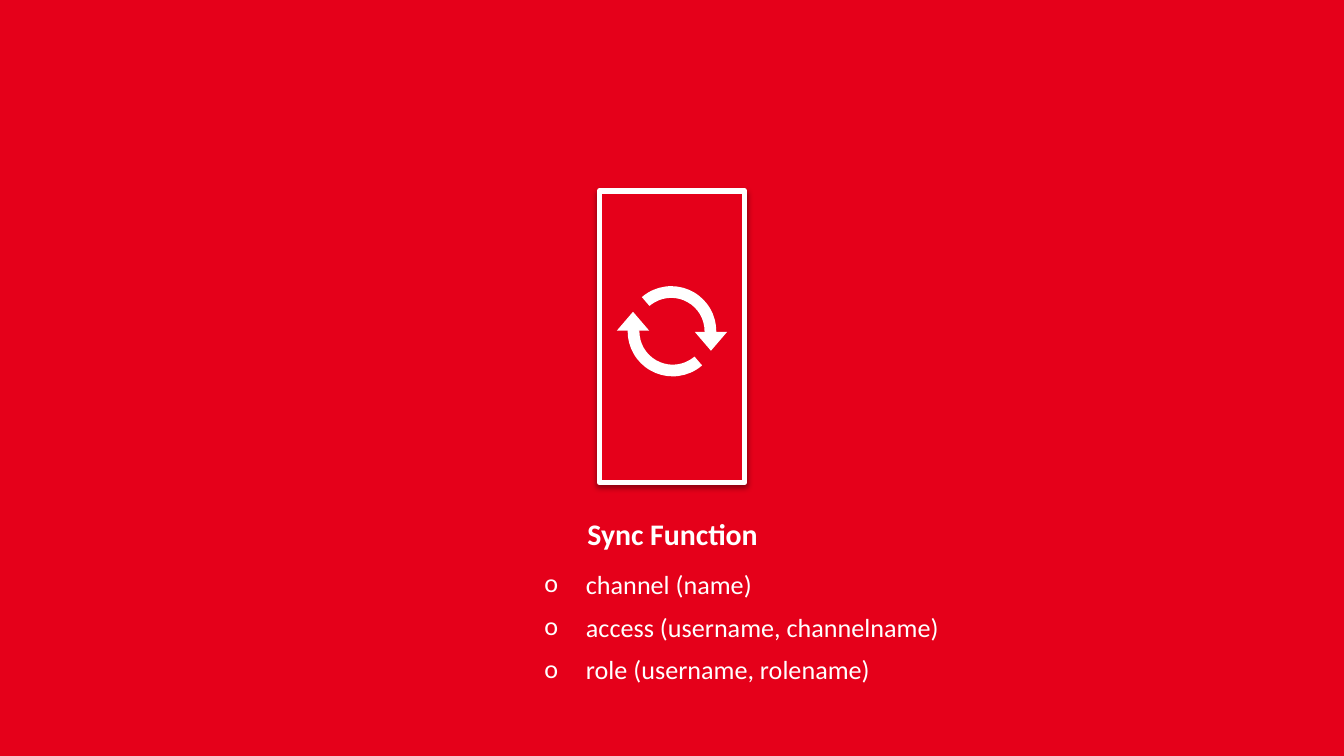
from typing import NamedTuple

from lxml.etree import SubElement
from pptx import Presentation
from pptx.dml.color import RGBColor
from pptx.enum.shapes import MSO_SHAPE as Shape
from pptx.enum.text import PP_ALIGN as Align
from pptx.oxml import parse_xml
from pptx.oxml.ns import nsdecls, qn
from pptx.util import Inches, Pt

RED = RGBColor(0xE5, 0x00, 0x1A)
WHITE = RGBColor(0xFF, 0xFF, 0xFF)
FONT = "Calibri"
PAGE_WIDTH = 10
PAGE_HEIGHT = PAGE_WIDTH * 9 / 16
INDENT = Inches(0.31)
FUNCTIONS = (
    "channel (name)",
    "access (username, channelname)",
    "role (username, rolename)",
)


class Area(NamedTuple):
    left: float
    top: float
    width: float
    height: float

    def lengths(self):
        return [Inches(value) for value in self]


class SyncArrow(NamedTuple):
    arc: Area
    head: Area
    arc_rotation: int
    head_rotation: int


SYNC_ARROWS = (
    SyncArrow(Area(4.67, 2.13, 0.67, 0.67), Area(4.59, 2.32, 0.24, 0.14), 180, 0),
    SyncArrow(Area(4.66, 2.13, 0.67, 0.67), Area(5.17, 2.47, 0.24, 0.14), 0, 180),
)


def add_filled(shapes, kind: Shape, area: Area, color: RGBColor, rotation: int = 0):
    shape = shapes.add_shape(kind, *area.lengths())
    shape.shadow.inherit = False
    shape.fill.solid()
    shape.fill.fore_color.rgb = color
    shape.line.fill.background()
    shape.rotation = rotation
    return shape


def add_panel(shapes, area: Area) -> None:
    panel = add_filled(shapes, Shape.RECTANGLE, area, RED)
    panel.line.color.rgb = WHITE
    panel.line.width = Pt(3)
    effects = panel._element.spPr.find(qn("a:effectLst"))
    effects.append(parse_xml(
        f'<a:outerShdw {nsdecls("a")} blurRad="{Pt(3.1)}" dist="{Pt(1.6)}" '
        'dir="5400000" rotWithShape="0"><a:srgbClr val="000000">'
        '<a:alpha val="38000"/></a:srgbClr></a:outerShdw>'))


def add_sync_arrow(shapes, arrow: SyncArrow) -> None:
    arc = add_filled(shapes, Shape.BLOCK_ARC, arrow.arc, WHITE, arrow.arc_rotation)
    for index, value in enumerate((137.53, 1.08, 0.13)):
        arc.adjustments[index] = value
    add_filled(shapes, Shape.ISOSCELES_TRIANGLE, arrow.head, WHITE, arrow.head_rotation)


def add_bullet(para) -> None:
    properties = para._p.get_or_add_pPr()
    properties.set("marL", str(INDENT))
    properties.set("indent", str(-INDENT))
    color = SubElement(properties, qn("a:buClr"))
    SubElement(color, qn("a:srgbClr"), val=str(WHITE))
    SubElement(properties, qn("a:buFont"), typeface=FONT)
    SubElement(properties, qn("a:buChar"), char="o")


def add_text(shapes, area: Area, lines: tuple[str, ...], size: int,
             bold: bool = False, bullets: bool = False,
             align: Align = Align.LEFT) -> None:
    frame = shapes.add_textbox(*area.lengths()).text_frame
    frame.word_wrap = True
    frame.margin_left = frame.margin_right = frame.margin_top = frame.margin_bottom = 0
    frame.text = "\n".join(lines)
    for index, para in enumerate(frame.paragraphs):
        if bullets:
            add_bullet(para)
        para.alignment = align
        if index:
            para.space_before = Pt(6)
        for span in para.runs:
            span.font.name = FONT
            span.font.size = Pt(size)
            span.font.bold = bold
            span.font.color.rgb = WHITE


def main() -> None:
    deck = Presentation()
    deck.slide_width, deck.slide_height = Inches(PAGE_WIDTH), Inches(PAGE_HEIGHT)
    page = deck.slides.add_slide(deck.slide_layouts[6])
    page.background.fill.solid()
    page.background.fill.fore_color.rgb = RED

    add_text(page.shapes, Area(4.05, 4.23, 3.49, 0.8), FUNCTIONS, 14, bullets=True)
    add_text(page.shapes, Area(3.58, 3.84, 2.85, 0.29), ("Sync Function",), 16,
             bold=True, align=Align.CENTER)
    add_panel(page.shapes, Area(4.46, 1.42, 1.08, 2.17))
    icon = page.shapes.add_group_shape()
    for arrow in SYNC_ARROWS:
        add_sync_arrow(icon.shapes, arrow)

    deck.save("out.pptx")


if __name__ == "__main__":
    main()
